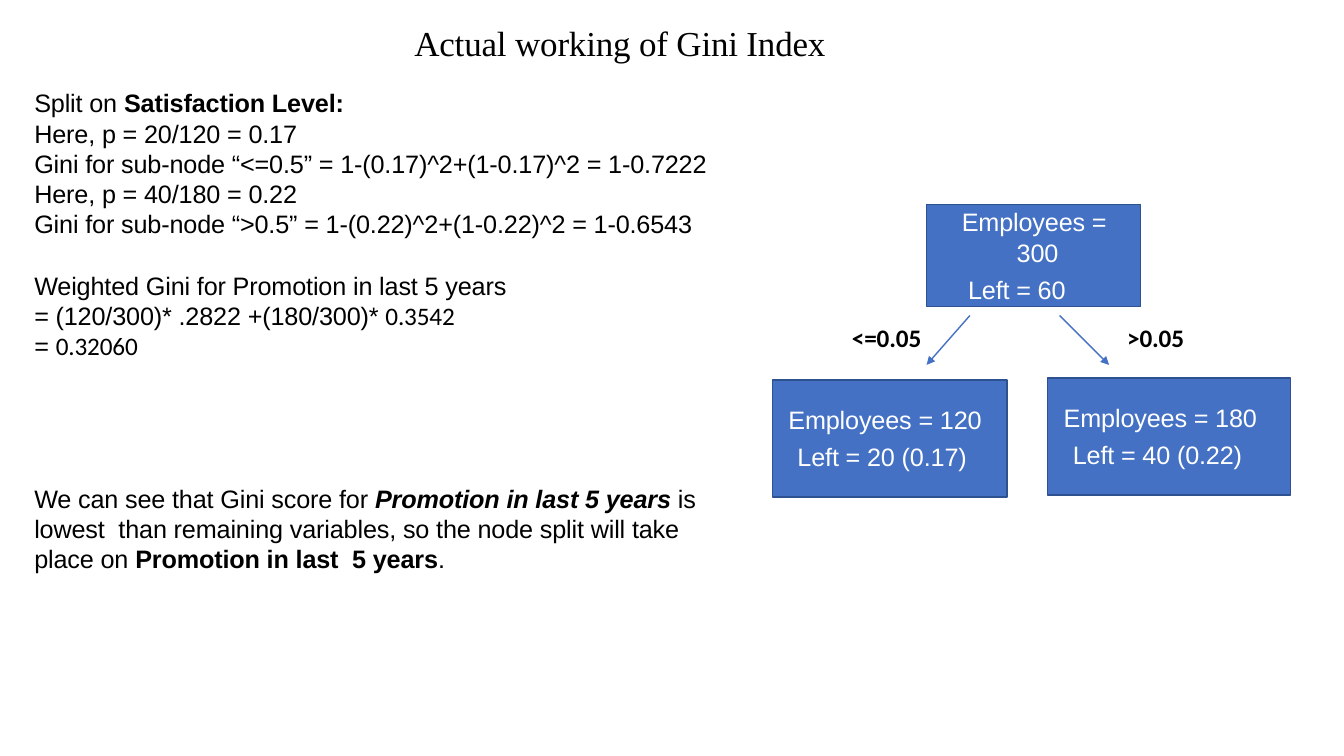
from lxml.etree import SubElement
from pptx import Presentation
from pptx.dml.color import RGBColor
from pptx.enum.shapes import MSO_CONNECTOR as Line, MSO_SHAPE as Shape
from pptx.enum.text import MSO_ANCHOR as Anchor, PP_ALIGN as Align
from pptx.oxml.ns import qn
from pptx.util import Inches, Pt

BLACK = RGBColor(0x00, 0x00, 0x00)
WHITE = RGBColor(0xFF, 0xFF, 0xFF)
BLUE = RGBColor(0x44, 0x71, 0xC4)
NAVY = RGBColor(0x2E, 0x52, 0x8F)


class Deck:
    size, font, track = 18, "Arial", "-10"

    def __init__(self):
        self.prs = Presentation()
        self.prs.slide_width = Inches(13.33)
        self.prs.slide_height = Inches(7.5)
        self.slide = self.prs.slides.add_slide(self.prs.slide_layouts[6])

    def fill(self, frame, lines, color, top=0.01, font=None, size=None, bold=None):
        """Each line is a list of runs: text, or (text, font changes)."""
        frame.word_wrap = True
        frame.vertical_anchor = Anchor.TOP
        frame.margin_left = frame.margin_right = frame.margin_bottom = 0
        frame.margin_top = Inches(top)
        for i, line in enumerate(lines):
            para = frame.add_paragraph() if i else frame.paragraphs[0]
            para.alignment = Align.LEFT
            para.font.name = font or self.font
            para.font.size = Pt(size or self.size)
            para.font.color.rgb = color
            para.font.bold = bold
            for part in line:
                text, style = (part, {}) if isinstance(part, str) else part
                run = para.add_run()
                run.text = text
                for key, val in style.items():
                    setattr(run.font, key, val)
                run.font._element.set("spc", self.track)
        return frame.paragraphs

    def text(self, x, y, w, h, lines, **style):
        box = self.slide.shapes.add_textbox(*map(Inches, (x, y, w, h)))
        return self.fill(box.text_frame, lines, BLACK, **style)

    def node(self, x, y, w, h, lines, top, pads, align=Align.LEFT):
        """pads holds the left and right indent of each line."""
        box = self.slide.shapes.add_shape(Shape.RECTANGLE, *map(Inches, (x, y, w, h)))
        box.shadow.inherit = False
        box.fill.solid()
        box.fill.fore_color.rgb = BLUE
        box.line.color.rgb = NAVY
        box.line.width = Pt(0.96)
        paras = self.fill(box.text_frame, [[line] for line in lines], WHITE, top)
        for para, (left, right) in zip(paras, pads):
            para.alignment = align
            props = para._p.get_or_add_pPr()
            props.set("marL", str(Inches(left)))
            props.set("marR", str(Inches(right)))
        paras[1].space_before = Pt(5)

    def arrow(self, x1, y1, x2, y2):
        link = self.slide.shapes.add_connector(
            Line.STRAIGHT, *map(Inches, (x1, y1, x2, y2)))
        link.line.color.rgb = BLUE
        link.line.width = Pt(1)
        SubElement(link.line._get_or_add_ln(), qn("a:tailEnd"), type="triangle")
        SubElement(link._element.spPr, qn("a:effectLst"))


def main():
    deck = Deck()
    bold, math = {"bold": True}, {"name": "Calibri"}

    # Title
    deck.text(4.11, 0.2, 4.3, 0.44, [["Actual working of Gini Index"]],
              font="Times New Roman", size=25)

    # Gini of each sub-node
    paras = deck.text(0.34, 0.86, 6.78, 1.53, [
        ["Split on ", ("Satisfaction Level:", bold)],
        ["Here, p = 20/120 = 0.17"],
        ["Gini for sub-node “<=0.5” = 1-(0.17)^2+(1-0.17)^2 = 1-0.7222  "
         "Here, p = 40/180 = 0.22"],
        ["Gini for sub-node “>0.5” = 1-(0.22)^2+(1-0.22)^2 = 1-0.6543"]])

    # Weighted Gini
    paras += deck.text(0.34, 2.67, 4.9, 0.92, [
        ["Weighted Gini for Promotion in last 5 years"],
        ["= (120/300)* .2822 +(180/300)* ", ("0.3542", math)],
        ["= ", ("0.32060", math)]])

    # Conclusion
    paras += deck.text(0.34, 4.78, 6.63, 0.92, [
        ["We can see that Gini score for ",
         ("Promotion in last 5 years ", {"bold": True, "italic": True}),
         "is  lowest  than remaining variables, so the node split will take place on ",
         ("Promotion in last  5 years", bold), "."]])
    for para in paras:
        para.line_spacing = Pt(21.6)

    # Tree nodes
    deck.node(9.19, 2.03, 2.12, 1.01, ["Employees =  300", "Left = 60"],
              0.02, [(0.34, 0.26), (0, 0.33)], Align.CENTER)
    pads = [(0.16, 0), (0.25, 0)]
    deck.node(7.66, 3.77, 2.33, 1.16, ["Employees = 120", "Left = 20 (0.17)"],
              0.24, pads)
    deck.node(10.39, 3.75, 2.41, 1.16, ["Employees = 180", "Left = 40 (0.22)"],
              0.24, pads)

    # Branches
    deck.arrow(9.62, 3.13, 9.19, 3.62)
    deck.arrow(10.51, 3.13, 11, 3.62)
    for x, label in ((8.45, "<=0.05"), (11.18, ">0.05")):
        deck.text(x, 3.19, 0.8, 0.33, [[label]], font="Calibri", bold=True)

    deck.prs.save("out.pptx")


if __name__ == "__main__":
    main()
